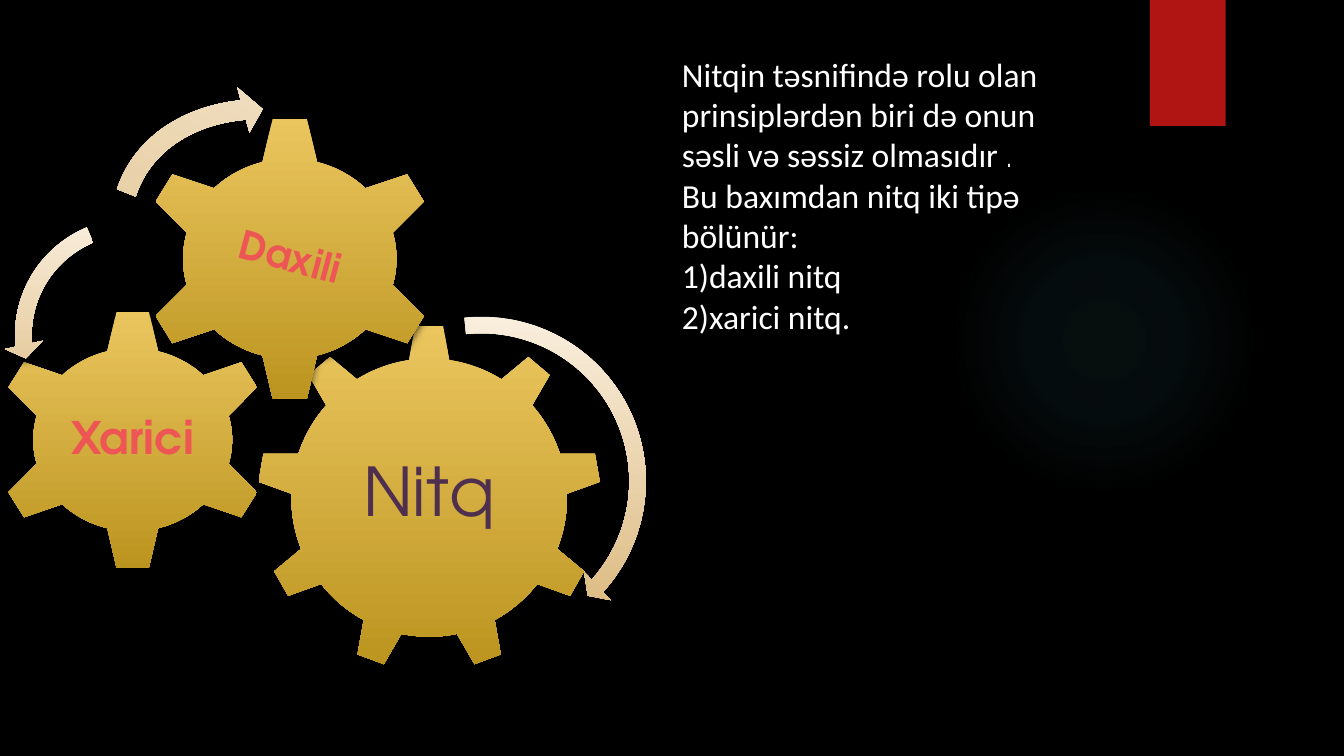
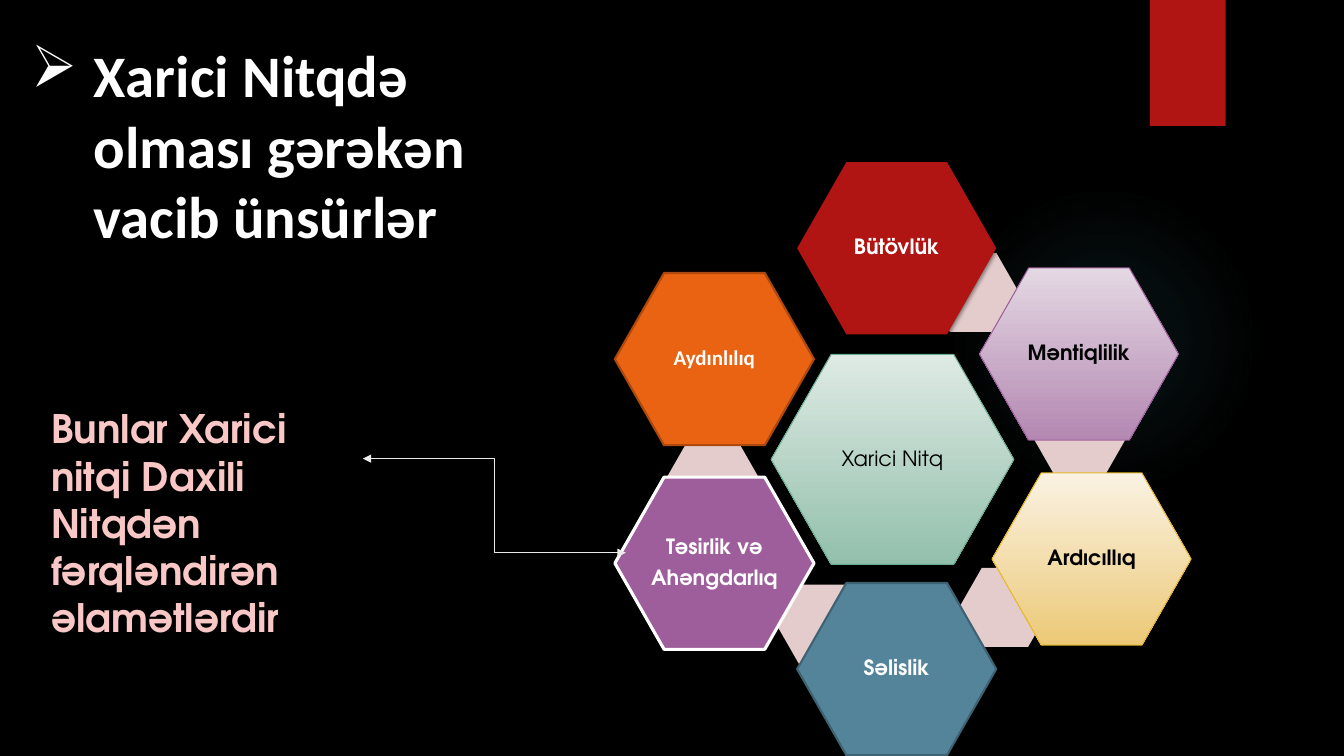
from pptx import Presentation
from pptx import util as u
from pptx.dml.color import RGBColor
from pptx.enum import shapes, text
from pptx.oxml import parse_xml
from pptx.oxml.ns import nsdecls, qn

BLACK = RGBColor(0x00, 0x00, 0x00)
WHITE = RGBColor(0xFF, 0xFF, 0xFF)
RED = RGBColor(0xB0, 0x15, 0x13)
CORAL = RGBColor(0xED, 0x56, 0x54)
PINK = RGBColor(0xF9, 0xC7, 0xC6)
DUSTY_PINK = RGBColor(0xE4, 0xCC, 0xCC)
PLUM = RGBColor(0x4F, 0x2F, 0x4E)
PURPLE = RGBColor(0x9E, 0x5E, 0x9B)
ORANGE = RGBColor(0xEA, 0x63, 0x12)
RUST = RGBColor(0xAD, 0x49, 0x0D)
STEEL = RGBColor(0x54, 0x84, 0x9A)
DARK_STEEL = RGBColor(0x3E, 0x62, 0x72)
GREEN = RGBColor(0x6A, 0xAC, 0x90)
YELLOW = RGBColor(0xE6, 0xB7, 0x29)
PALE_GREY = RGBColor(0xEB, 0xEB, 0xEB)
GOLD_FADE = [RGBColor(0xEB, 0xC6, 0x5F), RGBColor(0xBB, 0x94, 0x1F)]
SAND_FADE = [RGBColor(0xFA, 0xF0, 0xE0), RGBColor(0xD8, 0xB3, 0x74)]
GREEN_FADE = [RGBColor(0xDE, 0xEA, 0xE4), RGBColor(0x93, 0xC0, 0xAC)]
PURPLE_FADE = [RGBColor(0xE4, 0xD8, 0xE3), RGBColor(0xB4, 0x88, 0xB2)]
YELLOW_FADE = [RGBColor(0xFA, 0xF2, 0xE3), RGBColor(0xEC, 0xC9, 0x77)]

HEADING_FONT = "TeX Gyre Adventor"
BODY_FONT = "Calibri"

# The slide is a grid of 160 columns by 90 rows of square cells.
CELL = u.Inches(1) / 12
SOFT_SHADOW = (45, 3, 2)
DEEP_SHADOW = (60, 5, 3)
Kind = shapes.MSO_SHAPE


def draw(slide, kind, box, fill, line=None, shadow=None, adjust=()):
    """Add a shape; box is in cells, fill has one colour or two for a fade.

    line is (colour, points) and shadow is (opacity %, blur, distance).
    """
    shape = slide.shapes.add_shape(kind, *(round(n * CELL) for n in box))
    for index, value in enumerate(adjust):
        shape.adjustments[index] = value
    if len(fill) == 2:
        shape.fill.gradient()
        shape.fill.gradient_angle = 270
        for position, color in enumerate(fill):
            stop = shape.fill.gradient_stops[position]
            stop.position = position
            stop.color.rgb = color
    else:
        shape.fill.solid()
        shape.fill.fore_color.rgb = fill[0]
    if line:
        shape.line.color.rgb = line[0]
        shape.line.width = u.Pt(line[1])
    else:
        shape.line.fill.background()
    shape.shadow.inherit = False
    if shadow:
        opacity, blur, distance = shadow
        shape.element.spPr.find(qn("a:effectLst")).append(parse_xml(
            f'<a:outerShdw {nsdecls("a")} blurRad="{u.Pt(blur)}" dist="{u.Pt(distance)}"'
            ' dir="5400000" algn="ctr" rotWithShape="0"><a:srgbClr val="000000">'
            f'<a:alpha val="{opacity * 1000}"/></a:srgbClr></a:outerShdw>'))
    return shape


def write(shape, lines, font, size, color, bold=False, label=False):
    """Fill a shape with paragraphs; a label is centred both ways."""
    frame = shape.text_frame
    frame.word_wrap = not label
    frame.text = "\n".join(lines)
    if label:
        frame.vertical_anchor = text.MSO_ANCHOR.MIDDLE
        frame.margin_left = frame.margin_right = u.Inches(0.02)
        frame.margin_top = frame.margin_bottom = u.Inches(0.02)
    for paragraph in frame.paragraphs:
        paragraph.font.name = font
        paragraph.font.size = u.Pt(size)
        paragraph.font.bold = bold
        paragraph.font.color.rgb = color
        if label:
            paragraph.alignment = text.PP_ALIGN.CENTER
            paragraph.line_spacing = 0.9
            paragraph.space_after = u.Pt(0.35 * size)
    return frame


presentation = Presentation()
presentation.slide_width = round(160 * CELL)
presentation.slide_height = round(90 * CELL)
speech_slide = presentation.slides.add_slide(presentation.slide_layouts[6])
elements_slide = presentation.slides.add_slide(presentation.slide_layouts[5])

# Master: black background, faint glow and red band
master = presentation.slide_master
master.background.fill.solid()
master.background.fill.fore_color.rgb = BLACK
glow = draw(speech_slide, Kind.OVAL, (112.9, 22, 37, 37), [BLACK])
stops = "".join(
    f'<a:gs pos="{position}000"><a:srgbClr val="50B9C1"><a:alpha val="{opacity}000"/></a:srgbClr></a:gs>'
    for position, opacity in ((0, 7), (36, 6), (69, 0)))
glow_properties = glow.element.spPr
glow_properties.replace(glow_properties.find(qn("a:solidFill")), parse_xml(
    f'<a:gradFill {nsdecls("a")}><a:gsLst>{stops}</a:gsLst><a:path path="circle">'
    '<a:fillToRect l="50000" t="50000" r="50000" b="50000"/></a:path></a:gradFill>'))
band = draw(speech_slide, Kind.RECTANGLE, (136.9, 0, 9, 15), [RED], shadow=SOFT_SHADOW)
for shape_id, shape in enumerate((glow, band), 101):
    shape.element.nvSpPr.cNvPr.id = shape_id
    master.element.cSld.spTree.append(shape.element)

# Slide 1: gears of speech
gears = [
    ("Nitq", Kind.GEAR_9, (30.6, 38.6, 41, 41.3), 48, PLUM, False, 0),
    ("Xarici", Kind.GEAR_6, (-0.7, 36.8, 33, 31.1), 32, CORAL, True, 0),
    ("Daxili", Kind.GEAR_6, (16.7, 13.8, 35.6, 34), 28, CORAL, True, 15),
]
for name, kind, box, size, color, bold, tilt in gears:
    holder = draw(speech_slide, kind, box, GOLD_FADE, shadow=DEEP_SHADOW)
    if tilt:
        holder = speech_slide.shapes.add_textbox(*(round(n * CELL) for n in box))
        holder.rotation = tilt
    write(holder, [name], HEADING_FONT, size, color, bold, label=True)

arrows = [
    (Kind.CIRCULAR_ARROW, (36.4, 36.4, 41.8, 41.8), 0, (0.047, 2.99, 25.234, 158.457, 0.055)),
    (Kind.LEFT_CIRCULAR_ARROW, (0.5, 24.7, 30.4, 30.4), 0, (0.065, 4.3, 104.891, 148.378, 0.075)),
    (Kind.CIRCULAR_ARROW, (10.6, 11.5, 51.2, 39.7), 26.5, (0.06, 3.941, 133.138, 105.082, 0.07)),
]
for kind, box, rotation, adjust in arrows:
    arrow = draw(speech_slide, kind, box, SAND_FADE, shadow=DEEP_SHADOW, adjust=adjust)
    arrow.rotation = rotation

explanation = speech_slide.shapes.add_textbox(*(round(n * CELL) for n in (80, 5.8, 50.5, 44.9)))
frame = write(explanation, [
    "Nitqin təsnifində rolu olan prinsiplərdən biri də onun səsli və səssiz olmasıdır ",
    "Bu baxımdan nitq iki tipə bölünür:",
    "1)daxili nitq",
    "2)xarici nitq.",
], BODY_FONT, 24, WHITE)
full_stop = frame.paragraphs[0].add_run()
full_stop.text = "."
full_stop.font.name = HEADING_FONT
full_stop.font.size = u.Pt(18)

# Slide 2: elements of outer speech
title = elements_slide.shapes.title
title.left, title.top, title.width, title.height = (round(n * CELL) for n in (2.5, 4, 123.5, 18.4))
frame = write(title, [""], BODY_FONT, 42, WHITE, bold=True)
frame.auto_size = text.MSO_AUTO_SIZE.NONE
frame.vertical_anchor = text.MSO_ANCHOR.TOP
heading = frame.paragraphs[0]
heading.text = "Xarici Nitqdə\volması gərəkən\vvacib ünsürlər"
heading.alignment = text.PP_ALIGN.LEFT
heading_properties = heading._p.get_or_add_pPr()
heading_properties.set("marL", str(u.Inches(0.62)))
heading_properties.set("indent", str(-u.Inches(0.62)))
heading_properties.insert(0, parse_xml(f'<a:buChar {nsdecls("a")} char="➢"/>'))

HEXAGON = (0.286, 1.155)
core = draw(elements_slide, Kind.HEXAGON, (91.8, 42.2, 28.9, 25), GREEN_FADE, (GREEN, 0.75), adjust=HEXAGON)
write(core, ["Xarici Nitq"], HEADING_FONT, 15, BLACK, label=True)

for left, top in ((110.4, 30.1), (123.1, 47.6), (114.2, 67.6), (92.4, 69.6), (79.4, 52.1)):
    draw(elements_slide, Kind.HEXAGON, (left, top, 10.9, 9.4), [DUSTY_PINK], adjust=HEXAGON)

elements = [
    (["Bütövlük"], 94.9, 19.3, [RED], None, SOFT_SHADOW, HEADING_FONT, WHITE),
    (["Məntiqlilik"], 116.6, 31.9, PURPLE_FADE, (PURPLE, 0.75), None, HEADING_FONT, BLACK),
    (["Ardıcıllıq"], 118.1, 56.3, YELLOW_FADE, (YELLOW, 0.75), None, HEADING_FONT, BLACK),
    (["Səlislik"], 94.9, 69.4, [STEEL], (DARK_STEEL, 1.5), None, HEADING_FONT, WHITE),
    (["Təsirlik və", "Ahəngdarlıq"], 73.2, 56.8, [PURPLE], (WHITE, 2.25), None, HEADING_FONT, WHITE),
    (["Aydınlılıq"], 73.2, 32.5, [ORANGE], (RUST, 1.5), None, BODY_FONT, WHITE),
]
for lines, left, top, fill, line, shadow, font, color in elements:
    hexagon = draw(elements_slide, Kind.HEXAGON, (left, top, 23.7, 20.5), fill, line, shadow, HEXAGON)
    write(hexagon, lines, font, 15, color, bold=True, label=True)

connector = elements_slide.shapes.add_connector(
    shapes.MSO_CONNECTOR.ELBOW, *(round(n * CELL) for n in (43.2, 54.6, 74.5, 65.8)))
connector.line.color.rgb = PALE_GREY
connector.line.width = u.Pt(0.75)
connector_properties = connector.element.spPr
for end in ("headEnd", "tailEnd"):
    connector_properties.find(qn("a:ln")).append(parse_xml(f'<a:{end} {nsdecls("a")} type="triangle"/>'))
connector_properties.append(parse_xml(f'<a:effectLst {nsdecls("a")}/>'))

remark = elements_slide.shapes.add_textbox(*(round(n * CELL) for n in (4.9, 47.6, 40.6, 29.5)))
write(remark, ["Bunlar Xarici nitqi Daxili Nitqdən fərqləndirən əlamətlərdir"],
      HEADING_FONT, 28, PINK, bold=True)

presentation.save("out.pptx")
